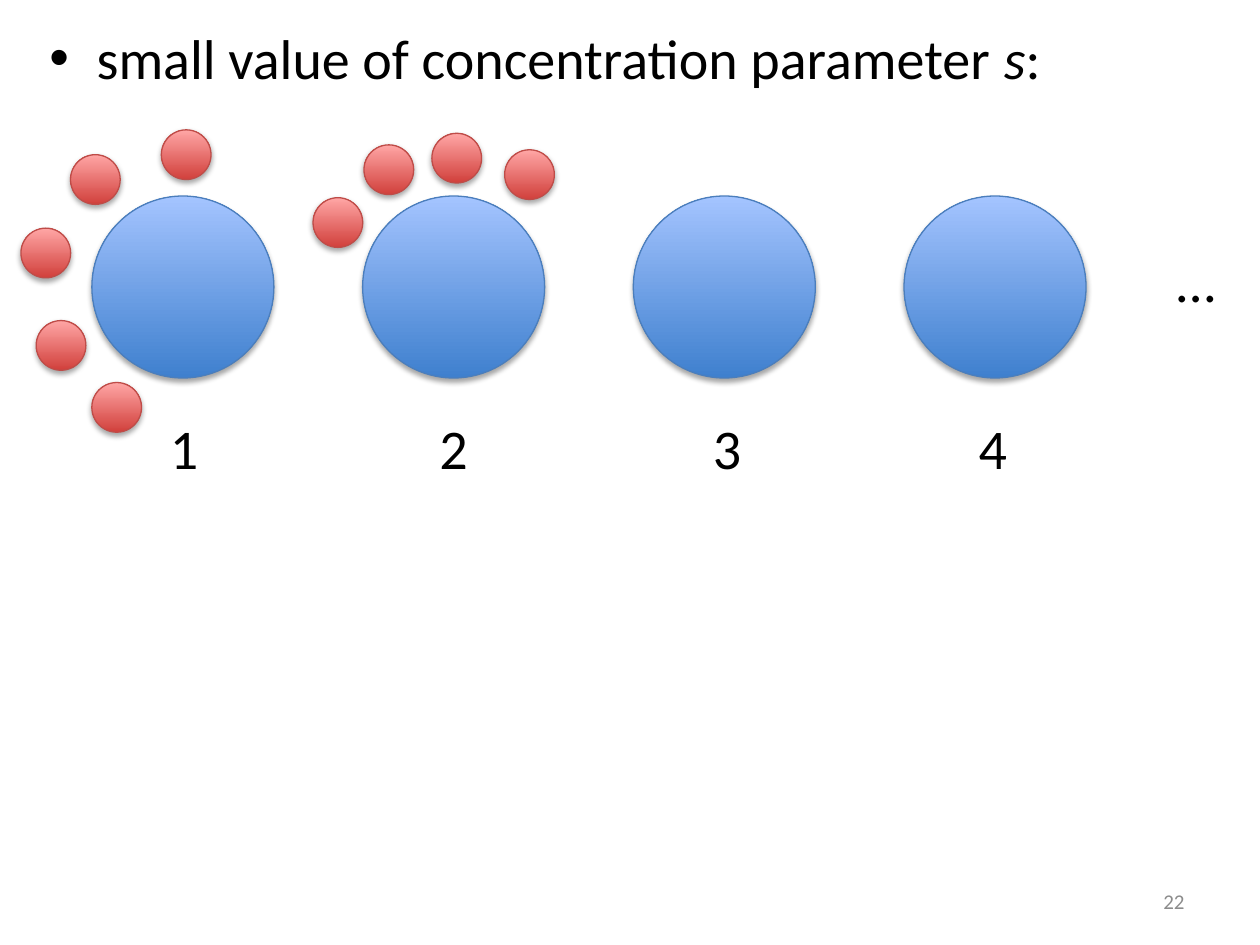
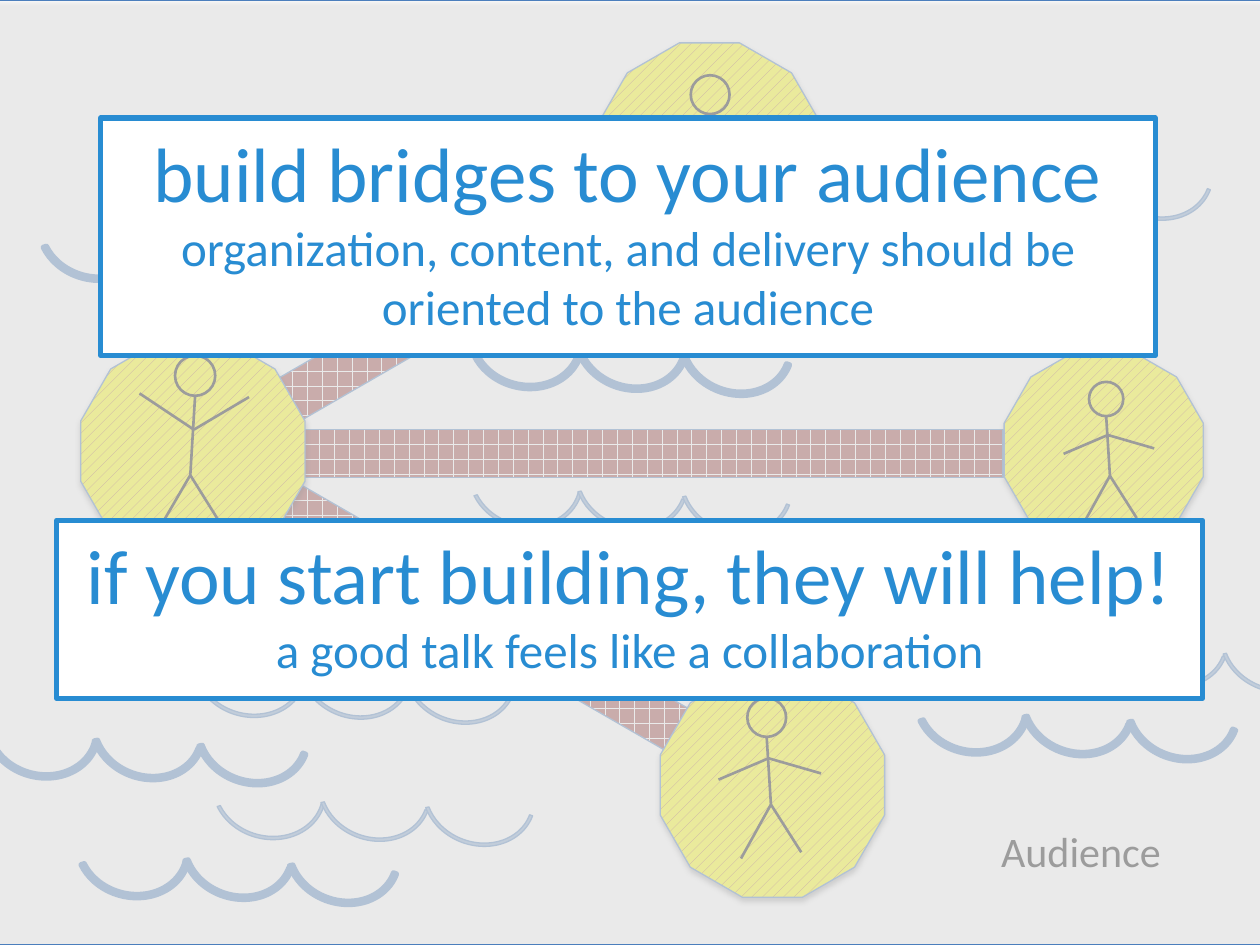
from lxml import etree
from pptx import Presentation
from pptx.dml.color import RGBColor
from pptx.enum.dml import MSO_PATTERN as PATTERN
from pptx.enum.shapes import MSO_CONNECTOR as CONNECTOR, MSO_SHAPE as SHAPE
from pptx.enum.text import MSO_ANCHOR as ANCHOR, MSO_AUTO_SIZE as AUTO_SIZE, PP_ALIGN as ALIGN
from pptx.oxml.ns import qn
from pptx.util import Pt

FONT = "Calibri"
HEX = {
    "black": "000000", "white": "FFFFFF", "grey": "8C8C8C",
    "outline": "4B7EBC", "table dark": "3F80CE", "table light": "A4C4FF",
    "guest line": "BF4C48", "guest dark": "D1403C", "guest light": "FFA6A5",
    "brick": "953735", "sand": "FFFF00", "wave": "7EA3CE", "accent": "288CD2",
}
COLOURS = {name: RGBColor.from_string(value) for name, value in HEX.items()}


def add_outlined(slide, kind, box, line="outline", weight=0.75, shadow=False):
    """Add a preset shape with a coloured outline and, if asked, a soft shadow."""
    shape = slide.shapes.add_shape(kind, *map(Pt, box))
    shape.line.color.rgb = COLOURS[line]
    shape.line.width = Pt(weight)
    shape.shadow.inherit = False
    if shadow:
        effects = shape._element.spPr.find(qn("a:effectLst"))
        outer = etree.SubElement(effects, qn("a:outerShdw"), blurRad=str(Pt(3.1)),
                                 dist=str(Pt(1.8)), dir="5400000", rotWithShape="0")
        colour = etree.SubElement(outer, qn("a:srgbClr"), val=HEX["black"])
        etree.SubElement(colour, qn("a:alpha"), val="35000")
    return shape


def add_label(slide, text, box, size, colour="black", wrap=False):
    """Add a one-line text box and return it."""
    label = slide.shapes.add_textbox(*map(Pt, box))
    frame = label.text_frame
    frame.word_wrap = wrap
    frame.auto_size = AUTO_SIZE.NONE if wrap else AUTO_SIZE.SHAPE_TO_FIT_TEXT
    paragraph = frame.paragraphs[0]
    paragraph.text = text
    paragraph.font.name = FONT
    paragraph.font.size = Pt(size)
    paragraph.font.color.rgb = COLOURS[colour]
    return label


presentation = Presentation()
presentation.slide_width, presentation.slide_height = Pt(720), Pt(540)

# Slide 1: guests seated at round tables
slide = presentation.slides.add_slide(presentation.slide_layouts[1])
title = slide.shapes.title._element
title.getparent().remove(title)
body = slide.placeholders[1]
body.left, body.top, body.width, body.height = map(Pt, (21, 10, 648, 398))
paragraph = body.text_frame.paragraphs[0]
for text in ("small value of concentration parameter ", "s", ":"):
    run = paragraph.add_run()
    run.text = text
    run.font.italic = text == "s"
paragraph.space_before = Pt(0)
paragraph.font.name = FONT
paragraph.font.size = Pt(32)
paragraph.font.color.rgb = COLOURS["black"]

number = add_label(slide, "22", (516, 500.5, 168, 28.75), 12, "grey", wrap=True)
number.text_frame.vertical_anchor = ANCHOR.MIDDLE
number.text_frame.paragraphs[0].alignment = ALIGN.RIGHT

# Tables and guests are circles: left, top, diameter, colour family
circles = [(52.5 + 154.7 * column, 112, 104, "table") for column in range(4)]
guests = [(40.3, 88.4), (92.2, 74.2), (12, 130.4), (20.7, 183.2), (52.5, 218.6),
          (208, 82.8), (178.9, 113), (246.8, 76.2), (288.4, 85.6)]
circles += [(left, top, 28.4, "guest") for left, top in guests]
for left, top, diameter, family in circles:
    line = "outline" if family == "table" else "guest line"
    circle = add_outlined(slide, SHAPE.OVAL, (left, top, diameter, diameter), line, shadow=True)
    circle.fill.gradient()
    circle.fill.gradient_angle = 90
    for stop, shade in zip(circle.fill.gradient_stops, ("dark", "light")):
        stop.color.rgb = COLOURS[f"{family} {shade}"]

for table_number, left in enumerate((90, 244, 400.3, 552.2), start=1):
    add_label(slide, str(table_number), (left, 232.5, 31, 46), 32)
add_label(slide, "…", (665.3, 137.5, 36.7, 46), 32)

# Slide 2: islands joined by bridges
slide = presentation.slides.add_slide(presentation.slide_layouts[6])
add_label(slide, "Audience", (565, 468, 106.6, 36), 24)

# Bridges: left, top, width, rotation
for left, top, width, rotation in ((151.2, 161.3, 213, 330), (174.2, 245.5, 399, 0),
                                   (148.3, 339.1, 255, 30)):
    bridge = add_outlined(slide, SHAPE.RECTANGLE, (left, top, width, 27.4))
    bridge.rotation = rotation
    bridge.fill.patterned()
    bridge.fill.pattern = PATTERN.HORIZONTAL_BRICK
    bridge.fill.fore_color.rgb = COLOURS["white"]
    bridge.fill.back_color.rgb = COLOURS["brick"]

# Waves: each is a row of arcs (right, down, rotation) from a starting point
ARCS = [(0, 0, 195), (60.2, 0.7, 200.7), (120, 3.6, 200.7)]
waves = [
    (43.2, 455.8, 3, ARCS), (63.4, 62.6, 0.75, ARCS), (267.8, 164.9, 3, ARCS),
    (-8.6, 387.4, 3, ARCS), (522.7, 373.7, 3, ARCS), (336.2, 293.8, 3, ARCS),
    (21.6, 103, 3, ARCS[:1]), (121, 422.6, 0.75, ARCS), (508.3, 64.8, 0.75, ARCS),
    (267.8, 245, 0.75, ARCS), (110.2, 352.8, 0.75, ARCS), (576.7, 334.8, 0.75, ARCS),
    (417.2, 134.6, 0.75, ARCS[1:2]),
]
for left, top, weight, arcs in waves:
    for right, down, rotation in arcs:
        arc = add_outlined(slide, SHAPE.BLOCK_ARC, (left + right, top + down, 65.5, 56.9),
                           weight=weight)
        arc.rotation = rotation
        for index, value in enumerate((108, 195.99, 0.033)):
            arc.adjustments[index] = value
        arc.fill.solid()
        arc.fill.fore_color.rgb = COLOURS["wave"]

# Islands: left, top, size
for left, top, size in ((341.3, 24.5, 128.2), (573.8, 200.2, 113.8),
                        (377.3, 384.5, 128.2), (46.1, 193.7, 128.2)):
    island = add_outlined(slide, SHAPE.DODECAGON, (left, top, size, size), shadow=True)
    island.fill.patterned()
    island.fill.pattern = PATTERN.PERCENT_20
    island.fill.fore_color.rgb = COLOURS["brick"]
    island.fill.back_color.rgb = COLOURS["sand"]

# Stick figures: strokes are measured in head sizes, the spine first
ARMS_DOWN = [((0.5, 1), (0.61, 2.74)), ((0.61, 2.74), (-0.16, 4.13)),
             ((0.61, 2.74), (1.39, 3.97)), ((0.55, 1.55), (1.9, 1.94)),
             ((-0.74, 2.1), (0.55, 1.55))]
ARMS_UP = [((0.5, 1), (0.38, 2.97)), ((0.38, 2.97), (-0.44, 4.38)),
           ((0.38, 2.97), (1.16, 4.22)), ((0.47, 1.84), (1.84, 1.03)),
           ((-0.88, 0.94), (0.47, 1.84))]
for left, top, head_size, strokes in ((427, 398.9, 22.2, ARMS_DOWN),
                                      (622.3, 218.2, 19.6, ARMS_DOWN),
                                      (394.7, 43, 22.2, ARMS_DOWN[:1]),
                                      (100, 203.2, 23, ARMS_UP)):
    head = add_outlined(slide, SHAPE.OVAL, (left, top, head_size, head_size), "black", 1.5)
    head.fill.background()
    for start, end in strokes:
        points = [Pt(origin + head_size * step) for point in (start, end)
                  for origin, step in zip((left, top), point)]
        limb = slide.shapes.add_connector(CONNECTOR.STRAIGHT, *points)
        limb.line.color.rgb = COLOURS["black"]
        limb.line.width = Pt(1.5)
        etree.SubElement(limb._element.spPr, qn("a:effectLst"))

# Translucent veil over the scene
veil = add_outlined(slide, SHAPE.RECTANGLE, (-53.3, 0, 835.2, 540), shadow=True)
veil.fill.solid()
veil.fill.fore_color.rgb = COLOURS["white"]
veil_colour = veil._element.spPr.find(qn("a:solidFill")).find(qn("a:srgbClr"))
etree.SubElement(veil_colour, qn("a:alpha"), val="61000")

# Message cards
cards = [
    ((57.6, 67.5, 602.6, 135.6), "build bridges to your audience",
     "organization, content, and delivery should be oriented to the audience"),
    ((32.4, 297.4, 654.8, 101.6), "if you start building, they will help!",
     "a good talk feels like a collaboration"),
]
for box, headline, detail in cards:
    card = add_outlined(slide, SHAPE.RECTANGLE, box, "accent", 3)
    card.fill.solid()
    card.fill.fore_color.rgb = COLOURS["white"]
    frame = card.text_frame
    frame.word_wrap = True
    frame.vertical_anchor = ANCHOR.MIDDLE
    frame.margin_left = frame.margin_right = Pt(14.4)
    frame.margin_top, frame.margin_bottom = Pt(3.6), Pt(10.8)
    frame.text = f"{headline}\n{detail}"
    for paragraph, size in zip(frame.paragraphs, (44, 28)):
        paragraph.alignment = ALIGN.CENTER
        paragraph.font.name = FONT
        paragraph.font.size = Pt(size)
        paragraph.font.color.rgb = COLOURS["accent"]

presentation.save("out.pptx")
